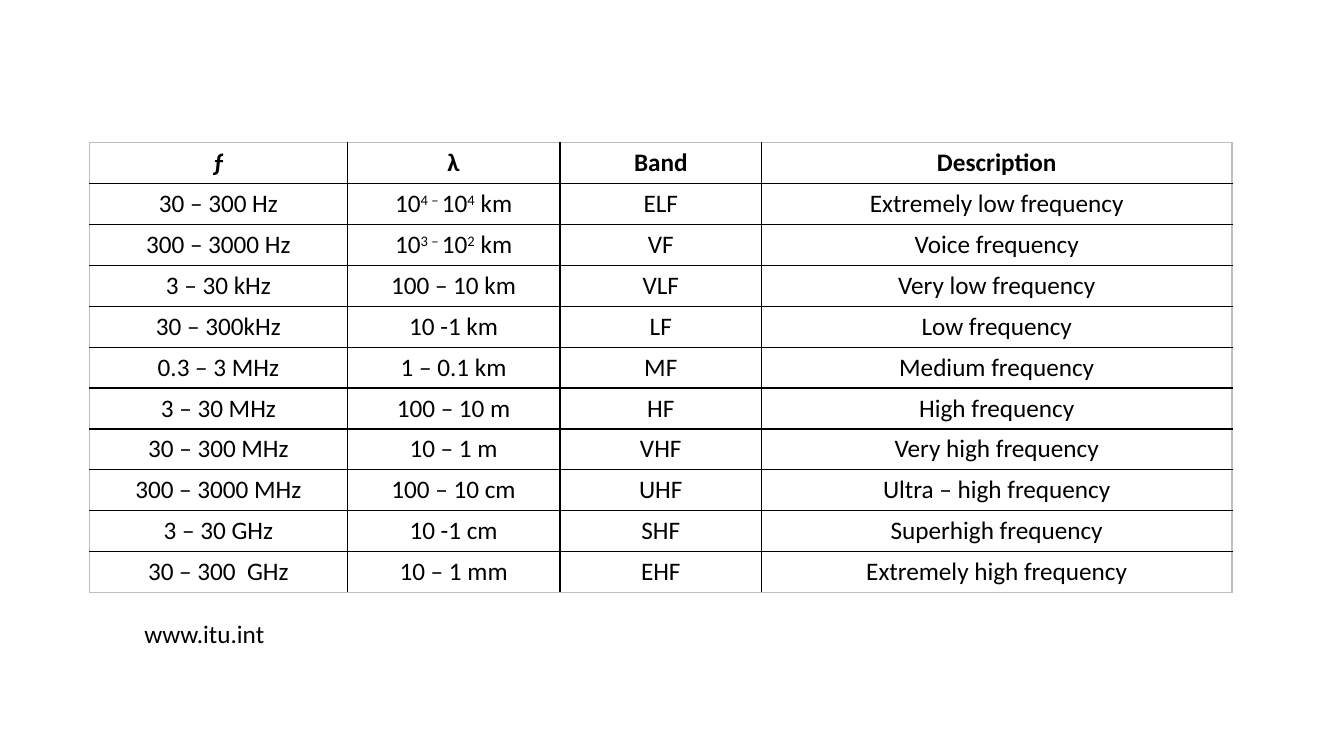
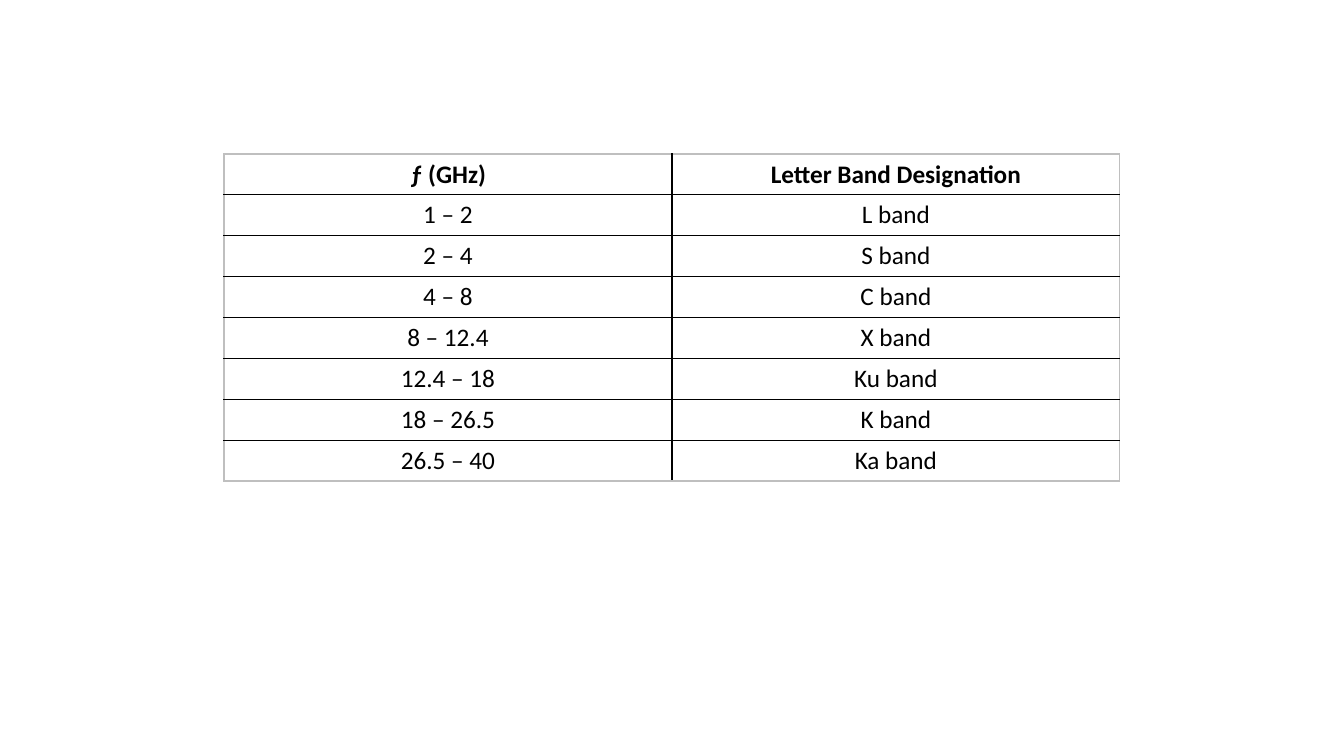
from lxml.etree import SubElement
from pptx import Presentation
from pptx.dml.color import RGBColor
from pptx.enum.text import MSO_AUTO_SIZE as AutoSize, PP_ALIGN as Align
from pptx.oxml.ns import qn
from pptx.util import Pt

BLACK = RGBColor(0x00, 0x00, 0x00)
EDGE_GREY = RGBColor(0xBF, 0xBF, 0xBF)

# Parts between bars alternate between normal and raised text
FREQUENCY_BANDS = [
    ("ƒ", "λ", "Band", "Description"),
    ("30 – 300 Hz", "10|4 – |10|4| km", "ELF", "Extremely low frequency"),
    ("300 – 3000 Hz", "10|3 – |10|2| km", "VF", "Voice frequency"),
    ("3 – 30 kHz", "100 – 10 km", "VLF", "Very low frequency"),
    ("30 – 300kHz", "10 -1 km", "LF", "Low frequency"),
    ("0.3 – 3 MHz", "1 – 0.1 km", "MF", "Medium frequency"),
    ("3 – 30 MHz", "100 – 10 m", "HF", "High frequency"),
    ("30 – 300 MHz", "10 – 1 m", "VHF", "Very high frequency"),
    ("300 – 3000 MHz", "100 – 10 cm", "UHF", "Ultra – high frequency"),
    ("3 – 30 GHz", "10 -1 cm", "SHF", "Superhigh frequency"),
    ("30 – 300  GHz", "10 – 1 mm", "EHF", "Extremely high frequency"),
]

LETTER_BANDS = [
    ("ƒ (GHz)", "Letter Band Designation"),
    ("1 – 2", "L band"),
    ("2 – 4", "S band"),
    ("4 – 8", "C band"),
    ("8 – 12.4", "X band"),
    ("12.4 – 18", "Ku band"),
    ("18 – 26.5", "K band"),
    ("26.5 – 40", "Ka band"),
]


class Deck:
    """Holds the shared style and the slide being filled."""

    font_name = "Calibri"
    font_size = 18
    row_height = 29.2
    border_width = 1
    margin_x, margin_y = 9.6, 3.6

    def __init__(self):
        self.prs = Presentation()
        self.prs.slide_width, self.prs.slide_height = Pt(960), Pt(540)
        self.slide = None

    def new_slide(self):
        self.slide = self.prs.slides.add_slide(self.prs.slide_layouts[6])

    def add_runs(self, paragraph, text, bold=False):
        for index, part in enumerate(text.split("|")):
            run = paragraph.add_run()
            run.text = part
            run.font.name = self.font_name
            run.font.size = Pt(self.font_size)
            run.font.bold = bold
            run.font.color.rgb = BLACK
            if index % 2:
                run.font._element.set("baseline", "30000")

    def border(self, cell, side, color):
        line = SubElement(cell._tc.get_or_add_tcPr(), qn(f"a:ln{side}"),
                          w=str(Pt(self.border_width)))
        fill = SubElement(line, qn("a:solidFill"))
        SubElement(fill, qn("a:srgbClr"), val=str(color))

    def table(self, left, top, widths, rows):
        grid = self.slide.shapes.add_table(
            len(rows), len(widths), Pt(left), Pt(top),
            Pt(sum(widths)), Pt(self.row_height * len(rows))).table
        grid.first_row = grid.horz_banding = False
        for column, width in zip(grid.columns, widths):
            column.width = Pt(width)
        last_row, last_column = len(rows) - 1, len(widths) - 1
        for r, texts in enumerate(rows):
            grid.rows[r].height = Pt(self.row_height)
            for c, text in enumerate(texts):
                cell = grid.cell(r, c)
                cell.margin_left = cell.margin_right = Pt(self.margin_x)
                cell.margin_top = cell.margin_bottom = Pt(self.margin_y)
                # Grey outer edge, black inner rules
                outer = {"L": c == 0, "R": c == last_column,
                         "T": r == 0, "B": r == last_row}
                for side, is_outer in outer.items():
                    self.border(cell, side, EDGE_GREY if is_outer else BLACK)
                cell.fill.background()
                paragraph = cell.text_frame.paragraphs[0]
                paragraph.alignment = Align.CENTER
                self.add_runs(paragraph, text, bold=r == 0)

    def text(self, left, top, width, height, text):
        frame = self.slide.shapes.add_textbox(
            Pt(left), Pt(top), Pt(width), Pt(height)).text_frame
        frame.word_wrap = True
        frame.auto_size = AutoSize.SHAPE_TO_FIT_TEXT
        self.add_runs(frame.paragraphs[0], text)


def main():
    deck = Deck()

    # Frequency bands with their source
    deck.new_slide()
    deck.table(64, 102, [184, 152, 144, 336], FREQUENCY_BANDS)
    deck.text(96, 438, 294, 29, "www.itu.int")

    # Letter band designations
    deck.new_slide()
    deck.table(160, 110, [320, 320], LETTER_BANDS)

    deck.prs.save("out.pptx")


if __name__ == "__main__":
    main()
